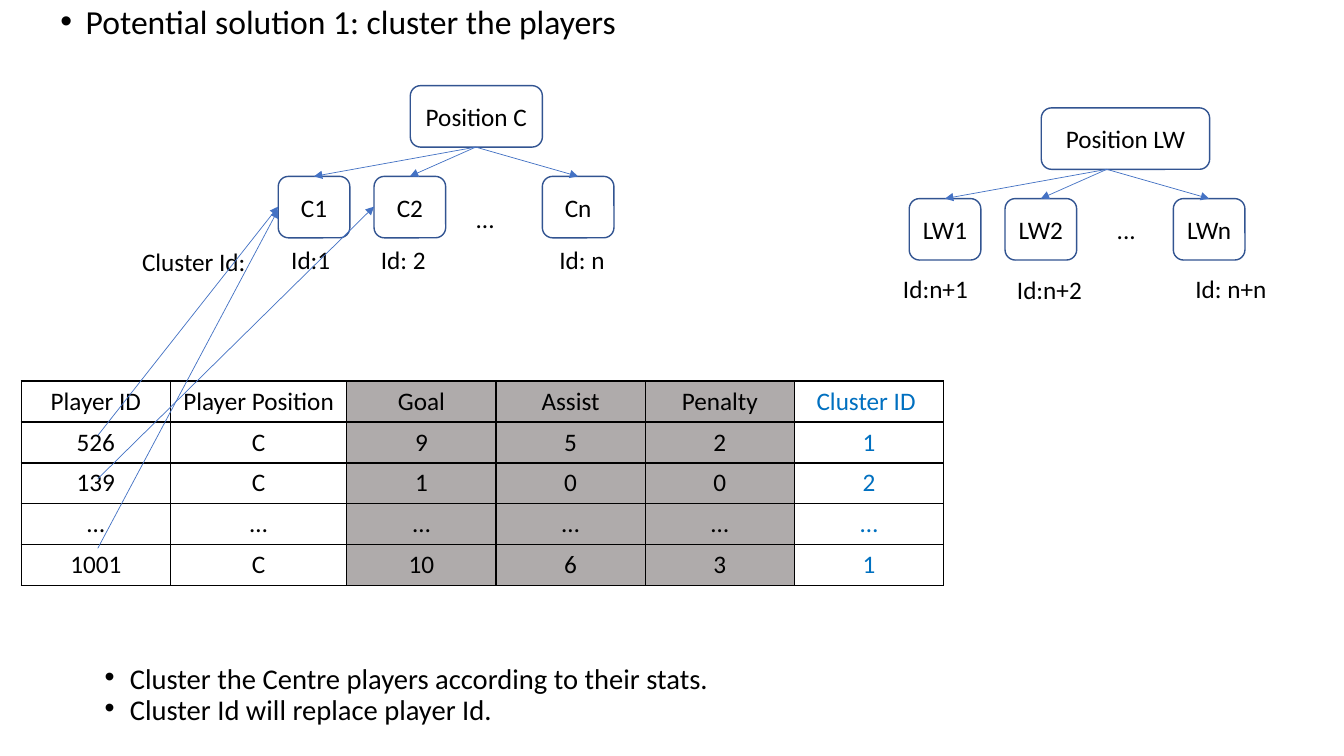
import pptx
import pptx.util
import pptx.dml.color
import pptx.enum.shapes
import pptx.enum.text
import pptx.oxml.ns
from lxml import etree

SLIDE_WIDTH = pptx.util.Inches(13.33)
SLIDE_HEIGHT = pptx.util.Inches(7.5)
BLACK, BLUE, GREY = "000000", "0070C0", "AFABAB"
OUTLINE, ARROW = "325491", "4472C4"

# All lengths are percentages of the slide's width (x) or height (y).
LEAF_OFFSETS = (0, 7.13, 19.65)
LEAF_WIDTH, BOX_HEIGHT = 5.33, 8.13
ROOT_OFFSET, HUB_OFFSET, LEVEL_DROP = 9.83, 14.7, 12

LABELS = [
    ("Cluster Id:", 9.83, 31.87, 10.43),
    ("Id:1", 20.93, 31.6, 5.18),
    ("Id: 2", 27.6, 31.6, 5.4),
    ("Id: n", 40.88, 31.6, 5.4),
    ("Id:n+1", 66.45, 35.47, 7.65),
    ("Id:n+2", 74.93, 35.6, 12.38),
    ("Id: n+n", 88.2, 35.47, 10.43),
    ("...", 34.65, 26.27, 3.75),
    ("...", 82.35, 27.73, 3.75),
]
PLAYERS = [
    ("Player ID", "Player Position", "Goal", "Assist", "Penalty", "Cluster ID "),
    ("526", "C", "9", "5", "2", "1"),
    ("139", "C", "1", "0", "0", "2"),
    ("…", "…", "…", "…", "…", "…"),
    ("1001", "C", "10", "6", "3", "1"),
]
COLUMN_WIDTHS = (11.1, 13.13, 11.1, 11.1, 11.1, 11.1)
ROW_HEIGHT = 5.42
STAT_COLUMNS, CLUSTER_COLUMN = (2, 3, 4), 5
PLAYER_X = 7.28
PLAYER_LINKS = [(57.6, 20.7, 27.33), (72.53, 20.7, 27.73), (63.33, 27.83, 27.33)]


def x(share):
    return round(SLIDE_WIDTH * share / 100)


def y(share):
    return round(SLIDE_HEIGHT * share / 100)


def rgb(code):
    return pptx.dml.color.RGBColor.from_string(code)


def sub(parent, tag, **attributes):
    return etree.SubElement(parent, pptx.oxml.ns.qn(tag), attributes)


def write(paragraph, text, size=18, color=BLACK, centred=False):
    run = paragraph.add_run()
    run.text = text
    run.font.size = pptx.util.Pt(size)
    run.font.name = "Calibri"
    run.font.color.rgb = rgb(color)
    if centred:
        paragraph.alignment = pptx.enum.text.PP_ALIGN.CENTER


def write_bullets(frame, lines, size, spacing):
    frame.word_wrap = True
    frame.auto_size = pptx.enum.text.MSO_AUTO_SIZE.NONE
    for number, line in enumerate(lines):
        paragraph = frame.add_paragraph() if number else frame.paragraphs[0]
        paragraph.level = 1
        paragraph.line_spacing = spacing
        paragraph.space_before = pptx.util.Pt(5)
        paragraph.space_after = pptx.util.Pt(0)
        properties = paragraph._p.get_or_add_pPr()
        properties.set("marL", str(pptx.util.Inches(0.75)))
        properties.set("indent", str(pptx.util.Inches(-0.25)))
        sub(properties, "a:buFont", typeface="Arial")
        sub(properties, "a:buChar", char="•")
        write(paragraph, line, size)


def add_label(slide, text, left, top, width):
    frame = slide.shapes.add_textbox(x(left), y(top), x(width), y(5.33)).text_frame
    frame.word_wrap = True
    write(frame.paragraphs[0], text)


def add_box(slide, text, left, top, width):
    box = slide.shapes.add_shape(
        pptx.enum.shapes.MSO_SHAPE.ROUNDED_RECTANGLE,
        x(left), y(top), x(width), y(BOX_HEIGHT))
    box.shadow.inherit = False
    box.fill.background()
    box.line.color.rgb = rgb(OUTLINE)
    box.line.width = pptx.util.Pt(1)
    box.text_frame.vertical_anchor = pptx.enum.text.MSO_ANCHOR.MIDDLE
    write(box.text_frame.paragraphs[0], text, centred=True)


def add_arrow(slide, start_x, start_y, end_x, end_y):
    arrow = slide.shapes.add_connector(
        pptx.enum.shapes.MSO_CONNECTOR.STRAIGHT,
        x(start_x), y(start_y), x(end_x), y(end_y))
    arrow.line.color.rgb = rgb(ARROW)
    arrow.line.width = pptx.util.Pt(0.5)
    sub(arrow.line._get_or_add_ln(), "a:tailEnd", type="triangle")
    sub(arrow._element.spPr, "a:effectLst")


def add_cluster_tree(slide, position, left, top, root_width):
    """Draw a position box above its first, second and last cluster."""
    add_box(slide, f"Position {position}", left + ROOT_OFFSET, top, root_width)
    for suffix, offset in zip("12n", LEAF_OFFSETS):
        add_box(slide, position + suffix, left + offset, top + LEVEL_DROP, LEAF_WIDTH)
        add_arrow(slide, left + HUB_OFFSET, top + BOX_HEIGHT,
                  left + offset + LEAF_WIDTH / 2, top + LEVEL_DROP)


def add_borders(cell):
    properties = cell._tc.get_or_add_tcPr()
    for position, side in enumerate(("a:lnL", "a:lnR", "a:lnT", "a:lnB")):
        border = sub(properties, side, w=str(pptx.util.Pt(1)))
        sub(sub(border, "a:solidFill"), "a:srgbClr", val=BLACK)
        properties.insert(position, border)


def add_player_table(slide, left, top):
    table = slide.shapes.add_table(
        len(PLAYERS), len(COLUMN_WIDTHS), x(left), y(top),
        x(sum(COLUMN_WIDTHS)), y(ROW_HEIGHT * len(PLAYERS))).table
    table.first_row = table.horz_banding = False
    for column, width in zip(table.columns, COLUMN_WIDTHS):
        column.width = x(width)
    for row, values in enumerate(PLAYERS):
        table.rows[row].height = y(ROW_HEIGHT)
        for column, value in enumerate(values):
            cell = table.cell(row, column)
            if column in STAT_COLUMNS:
                cell.fill.solid()
                cell.fill.fore_color.rgb = rgb(GREY)
            else:
                cell.fill.background()
            add_borders(cell)
            color = BLUE if column == CLUSTER_COLUMN else BLACK
            write(cell.text_frame.paragraphs[0], value, color=color, centred=True)


def main():
    deck = pptx.Presentation()
    deck.slide_width, deck.slide_height = SLIDE_WIDTH, SLIDE_HEIGHT
    slide = deck.slides.add_slide(deck.slide_layouts[1])
    unused_title = slide.shapes.title._element
    unused_title.getparent().remove(unused_title)

    heading = slide.placeholders[1]
    heading.left, heading.top = x(0), y(0)
    heading.width, heading.height = x(54.38), y(8.67)
    write_bullets(heading.text_frame, ["Potential solution 1: cluster the players"], 24, 0.9)

    add_cluster_tree(slide, "C", 20.7, 11.33, 9.83)
    add_cluster_tree(slide, "LW", 67.65, 14.27, 12.53)
    for label in LABELS:
        add_label(slide, *label)
    add_player_table(slide, 1.58, 50.4)
    for player_y, cluster_x, cluster_y in PLAYER_LINKS:
        add_arrow(slide, PLAYER_X, player_y, cluster_x, cluster_y)

    conclusions = slide.shapes.add_textbox(x(3.3), y(88), x(54.38), y(8.67))
    write_bullets(conclusions.text_frame, [
        "Cluster the Centre players according to their stats.",
        "Cluster Id will replace player Id.",
    ], 20.4, 0.7)
    deck.save("out.pptx")


if __name__ == "__main__":
    main()
